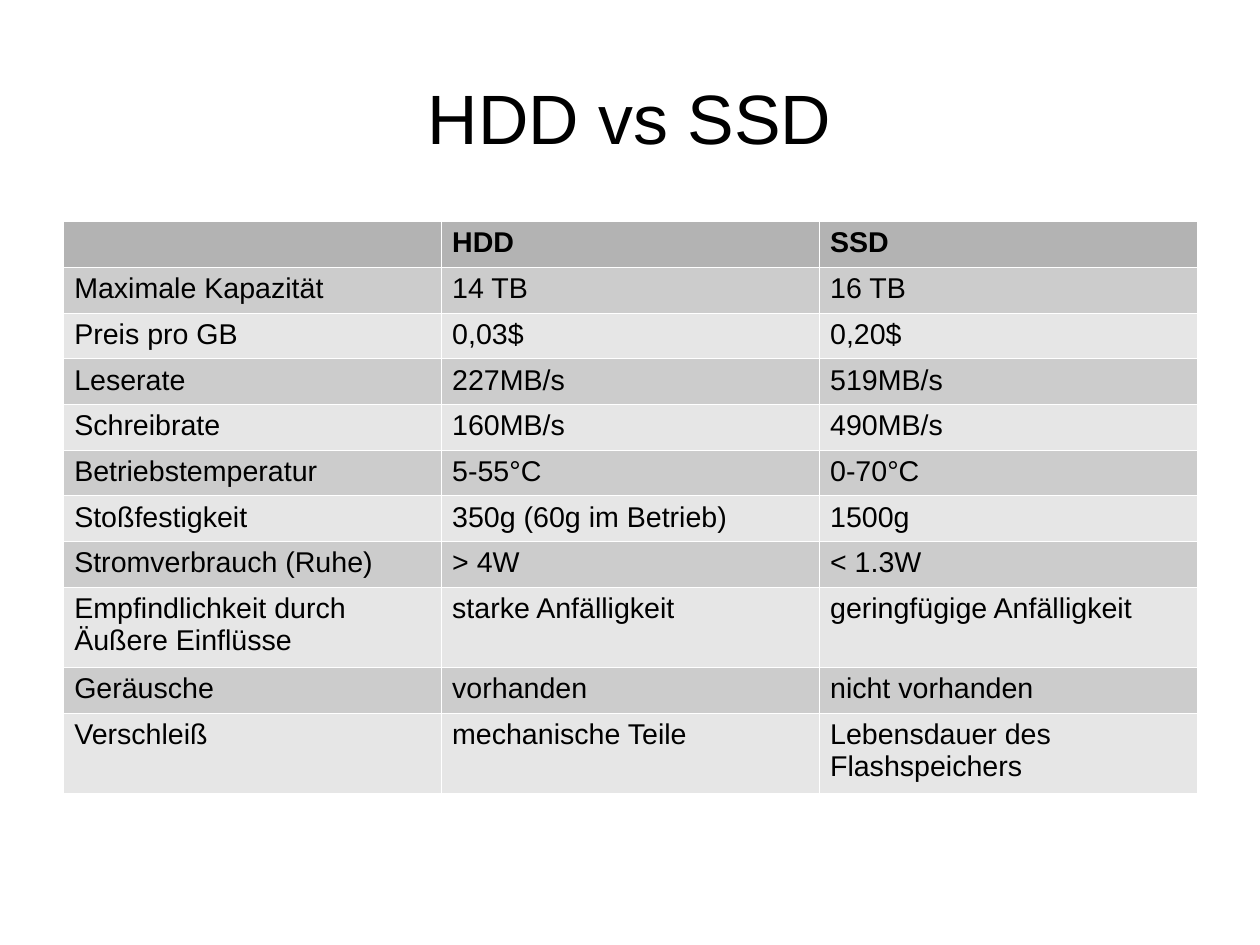
"""Build a slide with a table that compares HDD and SSD drives."""
from lxml.etree import SubElement
from pptx import Presentation
from pptx.dml.color import RGBColor
from pptx.enum.text import MSO_ANCHOR as Anchor, PP_ALIGN as Align
from pptx.oxml.ns import qn
from pptx.util import Inches, Pt

BLACK = RGBColor(0x00, 0x00, 0x00)
WHITE = RGBColor(0xFF, 0xFF, 0xFF)
HEADER_GRAY = RGBColor(0xB3, 0xB3, 0xB3)
DARK_BAND = RGBColor(0xCC, 0xCC, 0xCC)
LIGHT_BAND = RGBColor(0xE6, 0xE6, 0xE6)

FONT = "Arial"
CM_PER_INCH = 2.54
LEFT, WIDTH = 0.55, 9.92
SINGLE_ROW, DOUBLE_ROW = 0.4, 0.7
DOUBLE_ROWS = {"Empfindlichkeit durch Äußere Einflüsse", "Verschleiß"}
COMPARISON = [
    ("", "HDD", "SSD"),
    ("Maximale Kapazität", "14 TB", "16 TB"),
    ("Preis pro GB", "0,03$", "0,20$"),
    ("Leserate", "227MB/s", "519MB/s"),
    ("Schreibrate", "160MB/s", "490MB/s"),
    ("Betriebstemperatur", "5-55°C", "0-70°C"),
    ("Stoßfestigkeit", "350g (60g im Betrieb)", "1500g"),
    ("Stromverbrauch (Ruhe)", "> 4W", "< 1.3W"),
    ("Empfindlichkeit durch Äußere Einflüsse", "starke Anfälligkeit",
     "geringfügige Anfälligkeit"),
    ("Geräusche", "vorhanden", "nicht vorhanden"),
    ("Verschleiß", "mechanische Teile", "Lebensdauer des Flashspeichers"),
]


def add_span(para, text, size, bold=False):
    """Add a formatted run to a paragraph."""
    span = para.add_run()
    span.text = text
    span.font.name = FONT
    span.font.size = Pt(size)
    span.font.bold = bold
    span.font.color.rgb = BLACK


def set_borders(cell):
    """Draw hairline white borders on all sides of a cell."""
    properties = cell._tc.get_or_add_tcPr()
    for position, side in enumerate(("lnL", "lnR", "lnT", "lnB")):
        line = properties.makeelement(qn(f"a:{side}"), {"w": str(Pt(0.06))})
        fill = SubElement(line, qn("a:solidFill"))
        SubElement(fill, qn("a:srgbClr"), val=str(WHITE))
        properties.insert(position, line)


def add_title(page, text):
    """Place and fill the title placeholder."""
    title = page.shapes.title
    title.left, title.top = Inches(LEFT), Inches(0.33)
    title.width, title.height = Inches(WIDTH), Inches(1.38)
    frame = title.text_frame
    frame.margin_left = frame.margin_right = 0
    frame.margin_top = frame.margin_bottom = 0
    frame.vertical_anchor = Anchor.MIDDLE
    para = frame.paragraphs[0]
    para.alignment = Align.CENTER
    add_span(para, text, 44)


def fill_cell(cell, text, color, bold):
    """Give a cell its fill, borders and text."""
    cell.fill.solid()
    cell.fill.fore_color.rgb = color
    set_borders(cell)
    if text:
        add_span(cell.text_frame.paragraphs[0], text, 18, bold)


def row_color(index):
    """Return the fill of a header or banded row."""
    if index == 0:
        return HEADER_GRAY
    return DARK_BAND if index % 2 else LIGHT_BAND


def add_comparison(page, rows):
    """Add the comparison table."""
    height = Inches(4.77)
    graphic = page.shapes.add_table(len(rows), len(rows[0]), Inches(LEFT),
                                    Inches(1.93), Inches(WIDTH), height)
    table = graphic.table
    table.horz_banding = False
    for index, values in enumerate(rows):
        is_double = values[0] in DOUBLE_ROWS
        table.rows[index].height = Inches(DOUBLE_ROW if is_double else SINGLE_ROW)
        for cell, text in zip(table.rows[index].cells, values):
            fill_cell(cell, text, row_color(index), index == 0)
    graphic.height = height


def main():
    """Create and save the deck."""
    deck = Presentation()
    deck.slide_width = Inches(28 / CM_PER_INCH)
    deck.slide_height = Inches(21 / CM_PER_INCH)
    page = deck.slides.add_slide(deck.slide_layouts[5])
    add_title(page, "HDD vs SSD")
    add_comparison(page, COMPARISON)
    deck.save("out.pptx")


if __name__ == "__main__":
    main()
